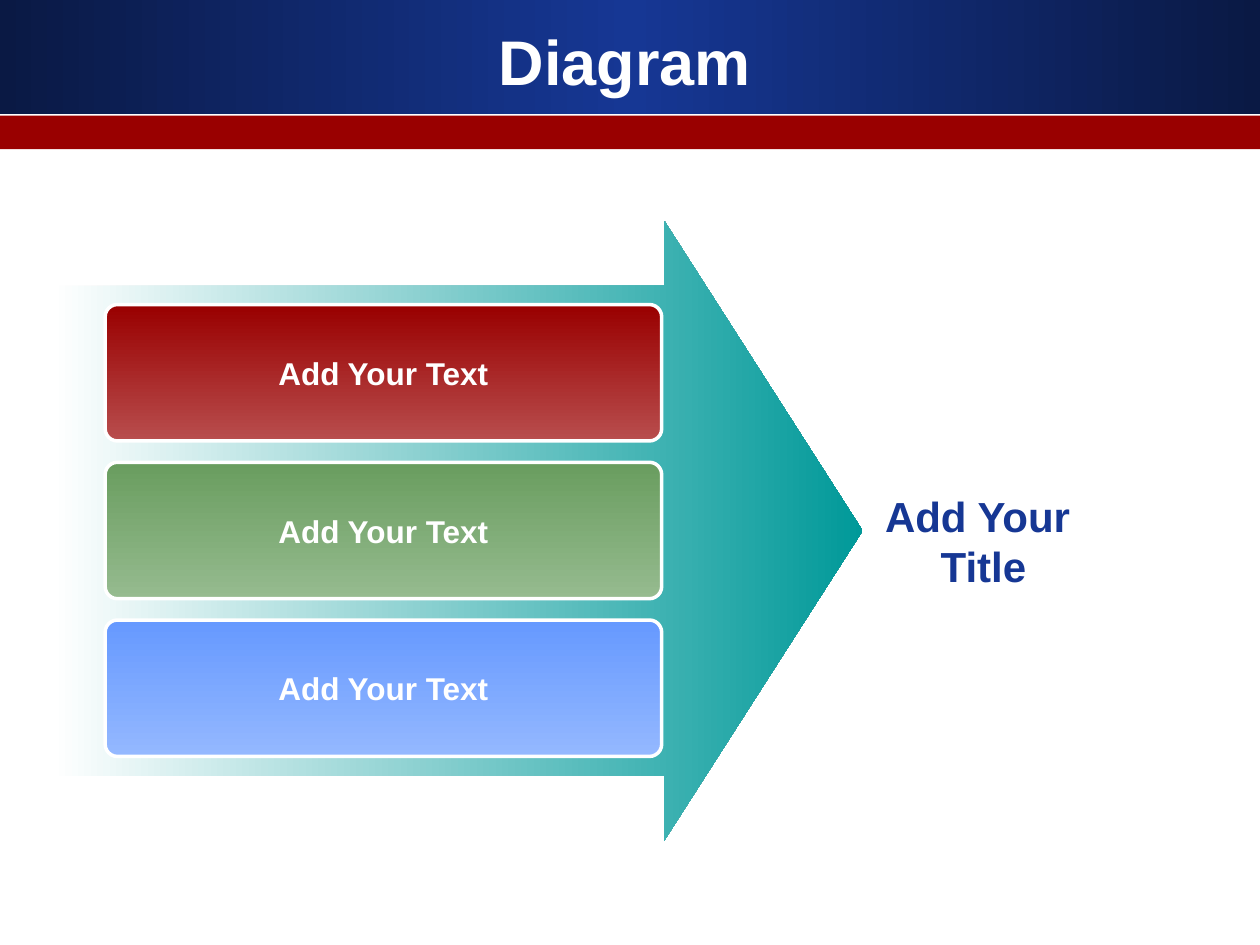
from copy import deepcopy
from dataclasses import dataclass

from pptx import Presentation
from pptx.dml.color import RGBColor
from pptx.enum.shapes import MSO_SHAPE
from pptx.enum.text import MSO_ANCHOR, PP_ALIGN
from pptx.oxml.ns import qn
from pptx.util import Cm, Pt

RECTANGLE = MSO_SHAPE.RECTANGLE
ROUNDED = MSO_SHAPE.ROUNDED_RECTANGLE
RIGHT_ARROW = MSO_SHAPE.RIGHT_ARROW
MIDDLE = MSO_ANCHOR.MIDDLE
CENTER = PP_ALIGN.CENTER
RIGHTWARD, DOWNWARD = 0, 270


@dataclass(frozen=True)
class Theme:
    font: str = "Arial"
    white: str = "FFFFFF"
    navy: str = "0A1944"
    blue: str = "163794"
    red: str = "990000"
    teal: str = "009999"
    cards: tuple = (("990000", "B84D4D"), ("699D5F", "96BB8F"), ("6699FF", "94B8FF"))
    title_size: int = 36
    caption_size: int = 24
    card_size: int = 18


class SlideBuilder:
    def __init__(self, slide, theme):
        self.slide = slide
        self.theme = theme

    def shape(self, kind, box, colors, angle=RIGHTWARD, adjustments=()):
        """Add a preset shape with a solid fill or an even gradient."""
        shape = self.slide.shapes.add_shape(kind, *map(Cm, box))
        shape.shadow.inherit = False
        shape.line.fill.background()
        for index, value in enumerate(adjustments):
            shape.adjustments[index] = value
        if len(colors) == 1:
            shape.fill.solid()
            shape.fill.fore_color.rgb = RGBColor.from_string(colors[0])
        else:
            self.gradient(shape, colors, angle)
        return shape

    def gradient(self, shape, colors, angle):
        shape.fill.gradient()
        shape.fill.gradient_angle = angle
        stop_list = shape.element.spPr.find(qn("a:gradFill")).find(qn("a:gsLst"))
        for _ in colors[2:]:
            stop_list.append(deepcopy(stop_list[-1]))
        for index, (stop, color) in enumerate(zip(shape.fill.gradient_stops, colors)):
            stop.position = index / (len(colors) - 1)
            stop.color.rgb = RGBColor.from_string(color)

    def add_lines(self, shape, lines, size, color, wrap=True):
        frame = shape.text_frame
        frame.word_wrap = wrap
        frame.vertical_anchor = MIDDLE
        for index, line in enumerate(lines):
            paragraph = frame.add_paragraph() if index else frame.paragraphs[0]
            paragraph.alignment = CENTER
            run = paragraph.add_run()
            run.text = line
            run.font.name = self.theme.font
            run.font.size = Pt(size)
            run.font.bold = True
            run.font.color.rgb = RGBColor.from_string(color)

    def text(self, box, lines, size, color):
        self.add_lines(self.slide.shapes.add_textbox(*map(Cm, box)), lines, size, color)

    def card(self, box, colors, label):
        shape = self.shape(ROUNDED, box, colors, DOWNWARD, (0.09,))
        shape.line.color.rgb = RGBColor.from_string(self.theme.white)
        shape.line.width = Pt(2)
        self.add_lines(shape, [label], self.theme.card_size, self.theme.white, wrap=False)


def main():
    presentation = Presentation()
    presentation.slide_width, presentation.slide_height = Cm(25.4), Cm(19.05)
    theme = Theme()
    slide = presentation.slides.add_slide(presentation.slide_layouts[6])
    builder = SlideBuilder(slide, theme)

    builder.shape(RECTANGLE, (0, 0, 25.4, 2.31), (theme.navy, theme.blue, theme.navy))
    builder.shape(RECTANGLE, (0, 2.33, 25.4, 0.68), (theme.red,))
    builder.text((0.85, 0.43, 23.5, 1.57), ["Diagram"], theme.title_size, theme.white)

    builder.shape(RIGHT_ARROW, (1.06, 4.45, 16.33, 12.5), (theme.white, theme.teal),
                  adjustments=(0.79, 0.32))
    card_top, card_pitch = 6.14, 3.18
    for index, colors in enumerate(theme.cards):
        builder.card((2.12, card_top + index * card_pitch, 11.22, 2.75), colors,
                     "Add Your Text")
    builder.text((16.33, 9.1, 6.99, 3.6), ["Add Your ", "Title"],
                 theme.caption_size, theme.blue)

    presentation.save("out.pptx")


if __name__ == "__main__":
    main()
